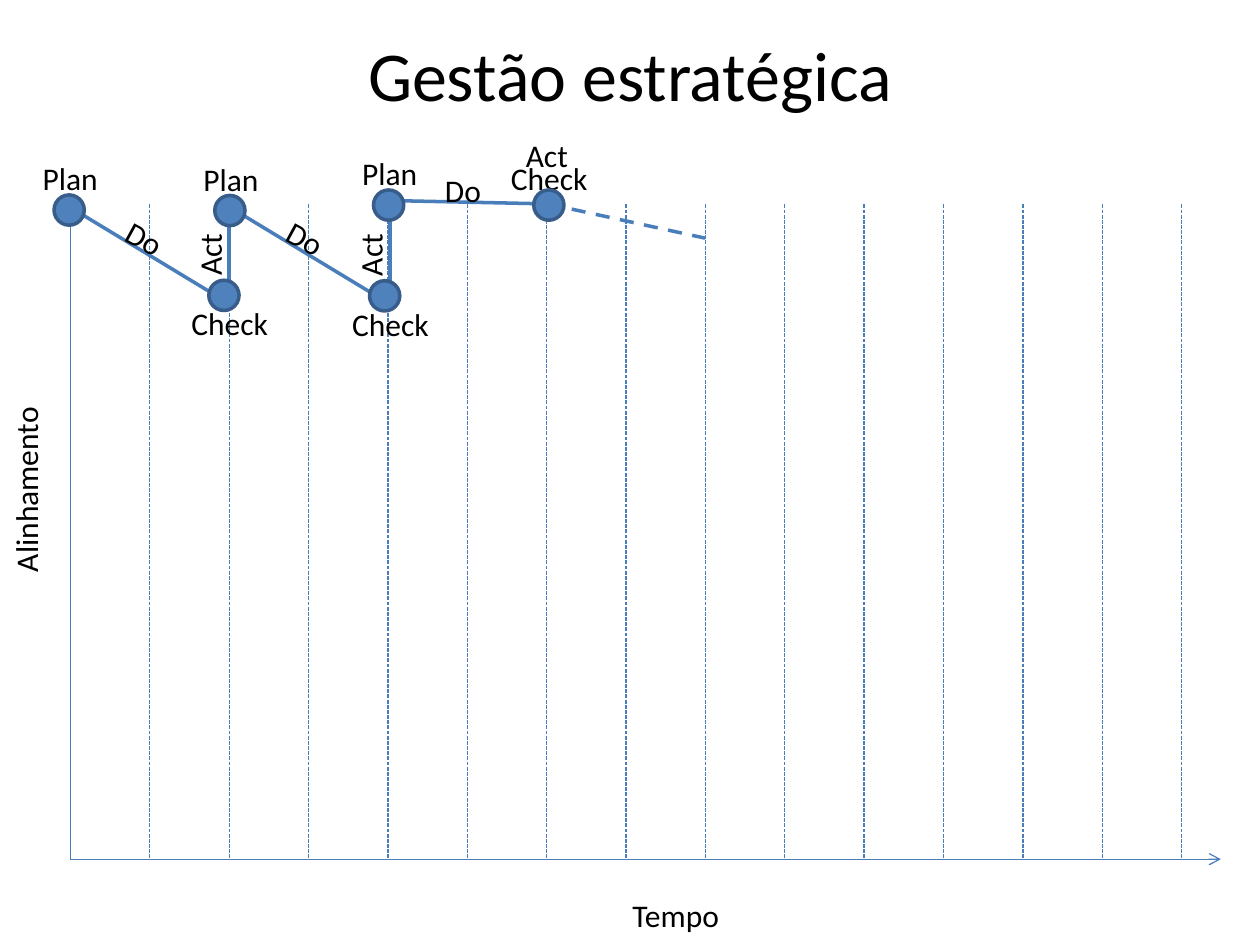
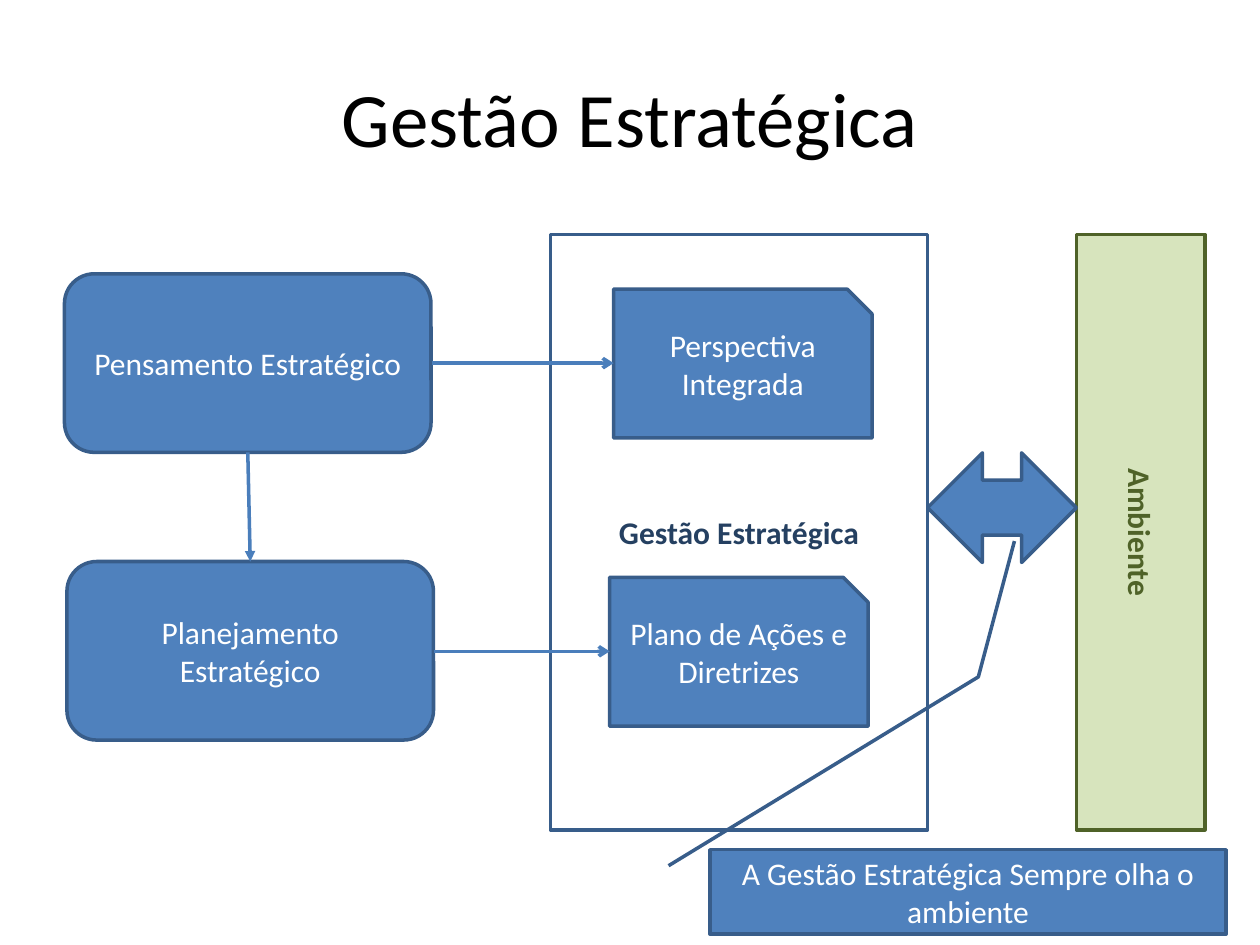
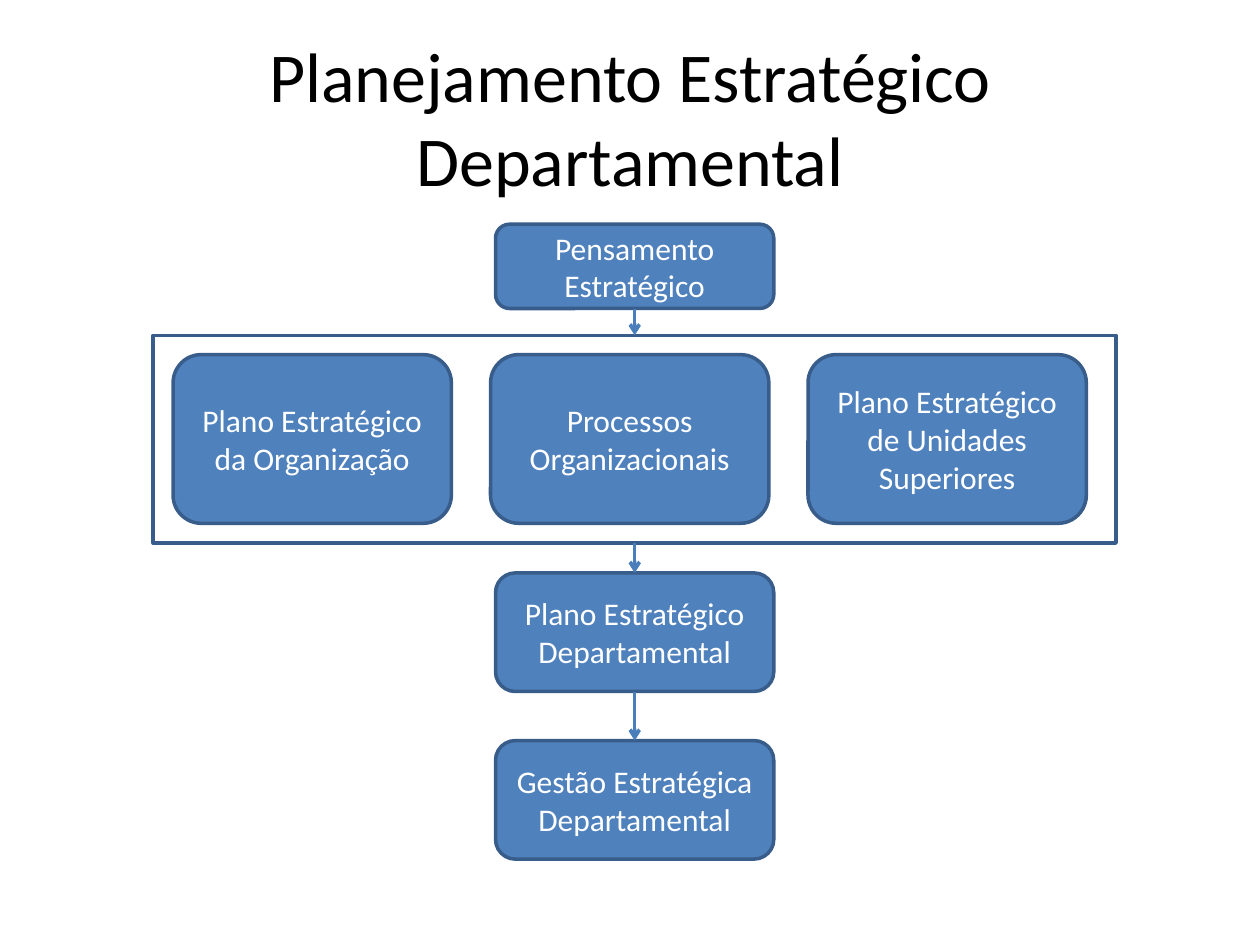
from dataclasses import dataclass

from lxml.etree import SubElement
from pptx import Presentation
from pptx.dml.color import RGBColor as RGB
from pptx.enum.dml import MSO_LINE as DASH
from pptx.enum.shapes import MSO_CONNECTOR as CONN, MSO_SHAPE as SHAPE
from pptx.enum.text import MSO_ANCHOR as ANCHOR, MSO_AUTO_SIZE as FIT, PP_ALIGN as ALIGN
from pptx.oxml.ns import qn
from pptx.util import Cm, Pt


@dataclass(frozen=True)
class Theme:
    """Colours, fonts and type sizes of the deck."""
    font: str = "Calibri"
    title: int = 40
    title_large: int = 44
    body: int = 18
    black: str = "000000"
    white: str = "FFFFFF"
    blue: str = "4F81BD"
    outline: str = "385D8A"
    line: str = "4A7EBB"
    navy: str = "254061"
    green: str = "D7E4BD"
    olive: str = "4F6228"
    thin: float = 0.75
    thick: float = 2


T = Theme()

CYCLE = {
    "lines": [(0.69, 1.04, 4.01, 3.05, None), (4.01, 3.05, 4.01, 1.14, None)],
    "labels": [("Check", 3, 2.94, 2.06, 0), ("Plan", 0, 0.02, 1.63, 0),
               ("Do", 1.69, 1.22, 1.25, 28.7), ("Act", 2.94, 1.55, 1.35, 270)],
    "dots": [(0.48, 0.86), (3.6, 2.58)],
}
LAST_CYCLE = {
    "lines": [(0.69, 1.07, 3.99, 1.14, None), (3.99, 1.14, 7.16, 1.83, DASH.DASH)],
    "labels": [("Check", 3, 0.12, 2.06, 0), ("Plan", 0, 0.02, 1.63, 0),
               ("Do", 1.67, 0.36, 1.25, 0), ("Act", 3.3, -0.36, 1.35, 0)],
    "dots": [(0.48, 0.86), (3.71, 0.86)],
}


def set_attrs(obj, **values):
    """Set every given format value on an object."""
    for name, value in values.items():
        setattr(obj, name, value)


def write(sp, text, size=T.body, color=T.black, bold=False, align=ALIGN.CENTER, **frame):
    """Write one formatted paragraph into a shape."""
    tf = sp.text_frame
    set_attrs(tf, **frame)
    p = tf.paragraphs[0]
    p.alignment = align
    r = p.add_run()
    r.text = text
    set_attrs(r.font, name=T.font, size=Pt(size), bold=bold)
    r.font.color.rgb = RGB.from_string(color)


def add_title(s, text, size=T.title, y=0.76, anchor=ANCHOR.MIDDLE):
    """Add the slide title."""
    sp = s.shapes.add_textbox(Cm(1.27), Cm(y), Cm(22.86), Cm(3.18))
    write(sp, text, size, word_wrap=True, vertical_anchor=anchor)


def add_label(s, text, x, y, w, rotation=0):
    """Add a one-line label, turned if asked."""
    sp = s.shapes.add_textbox(Cm(x), Cm(y), Cm(w), Cm(1.02))
    sp.rotation = rotation
    write(sp, text, align=ALIGN.LEFT, word_wrap=False, auto_size=FIT.SHAPE_TO_FIT_TEXT)


def style_box(sp, text="", fill=T.blue, line=T.outline, color=T.white, bold=False):
    """Fill and outline a shape and centre its text."""
    sp.shadow.inherit = False
    if fill:
        sp.fill.solid()
        sp.fill.fore_color.rgb = RGB.from_string(fill)
    else:
        sp.fill.background()
    sp.line.color.rgb = RGB.from_string(line)
    sp.line.width = Pt(T.thick)
    if text:
        write(sp, text, color=color, bold=bold, word_wrap=True,
              vertical_anchor=ANCHOR.MIDDLE)


def add_box(s, kind, x, y, w, h, text="", **style):
    """Add a styled preset shape."""
    sp = s.shapes.add_shape(kind, Cm(x), Cm(y), Cm(w), Cm(h))
    style_box(sp, text, **style)
    return sp


def add_document(s, x, y, text, w=5.21, h=3, cut=0.5):
    """Add a document with its top right corner cut."""
    fb = s.shapes.build_freeform(Cm(x), Cm(y))
    corners = ((x + w - cut, y), (x + w, y + cut), (x + w, y + h), (x, y + h))
    fb.add_line_segments([(Cm(cx), Cm(cy)) for cx, cy in corners])
    style_box(fb.convert_to_shape(), text)


def add_line(s, x1, y1, x2, y2, dash=None, head=None, width=T.thick):
    """Add a straight line with an optional dash and arrowhead."""
    c = s.shapes.add_connector(CONN.STRAIGHT, Cm(x1), Cm(y1), Cm(x2), Cm(y2))
    c.line.color.rgb = RGB.from_string(T.line)
    c.line.width = Pt(width)
    if dash:
        c.line.dash_style = dash
    if head:
        SubElement(c.line._get_or_add_ln(), qn("a:tailEnd"), type=head)
    SubElement(c._element.spPr, qn("a:effectLst"))


def draw_axes(s, x, y, w, h, step=1.6, count=14):
    """Draw the time and alignment axes with their grid."""
    bottom = y + h
    add_line(s, x, y, x, bottom, width=T.thin)
    add_line(s, x, bottom, x + w, bottom, head="arrow", width=T.thin)
    for i in range(1, count + 1):
        gx = x + i * step
        add_line(s, gx, y, gx, bottom, DASH.SQUARE_DOT, width=T.thin)
    add_label(s, "Tempo", x + 11.08, bottom + 0.61, 2.31)
    add_label(s, "Alinhamento", x - 2.82, y + 5.23, 3.84, 270)


def draw_cycle(s, x, y, cycle):
    """Draw one Plan-Do-Check-Act cycle."""
    for x1, y1, x2, y2, dash in cycle["lines"]:
        add_line(s, x + x1, y + y1, x + x2, y + y2, dash)
    for text, dx, dy, w, rotation in cycle["labels"]:
        add_label(s, text, x + dx, y + dy, w, rotation)
    for dx, dy in cycle["dots"]:
        add_box(s, SHAPE.OVAL, x + dx, y + dy, 0.61, 0.61)


def draw_thinking(s, x, y, w=7.39, h=3.6, step=5.8):
    """Draw strategic thinking leading to planning."""
    for i, text in enumerate(("Pensamento Estratégico", "Planejamento Estratégico")):
        add_box(s, SHAPE.ROUNDED_RECTANGLE, x + i * 0.05, y + i * step, w, h, text)
    add_line(s, x + w / 2, y + h, x + w / 2 + 0.05, y + step, head="triangle")


def draw_management(s, x, y, w, h):
    """Draw the management frame and its two documents."""
    add_document(s, x + 1.19, y + 6.91, "Plano de Ações e Diretrizes")
    add_document(s, x + 1.27, y + 1.1, "Perspectiva Integrada")
    add_box(s, SHAPE.RECTANGLE, x, y, w, h, "Gestão Estratégica",
            fill=None, color=T.navy, bold=True)


def draw_environment(s, x, y, h):
    """Draw the environment column, its double arrow and the callout."""
    sp = add_box(s, SHAPE.RECTANGLE, x, y, 2.59, h, "Ambiente",
                 fill=T.green, line=T.olive, color=T.olive, bold=True)
    sp.text_frame._txBody.bodyPr.set("vert", "vert")
    add_box(s, SHAPE.LEFT_RIGHT_ARROW, x - 3, y + 4.4, 3, 2.21)
    sp = add_box(s, SHAPE.LINE_CALLOUT_2, x - 7.39, y + 12.4, 10.41, 1.7,
                 "A Gestão Estratégica Sempre olha o ambiente")
    for i, value in enumerate((0.19, -0.08, -2.05, 0.52, -3.66, 0.59)):
        sp.adjustments[i] = value


def draw_inputs(s, x, y, w, h):
    """Draw the framed row of planning inputs."""
    texts = ("Plano Estratégico da Organização", "Processos Organizacionais",
             "Plano Estratégico de Unidades Superiores")
    for i, text in enumerate(texts):
        add_box(s, SHAPE.ROUNDED_RECTANGLE, x + 0.4 + i * 6.4, y + 0.39, 5.61, 3.4, text)
    add_box(s, SHAPE.RECTANGLE, x, y, w, h, fill=None)


def draw_departmental(s, x, y, w):
    """Draw the top-down departmental planning flow."""
    card_w, mid = 5.61, x + w / 2
    steps = [(0, 1.7, "Pensamento Estratégico"), (2.24, 4.19, None),
             (7.03, 2.39, "Plano Estratégico Departamental"),
             (10.41, 2.39, "Gestão Estratégica Departamental")]
    for dy, h, text in steps:
        if text:
            add_box(s, SHAPE.ROUNDED_RECTANGLE, mid - card_w / 2, y + dy, card_w, h, text)
        else:
            draw_inputs(s, x, y + dy, w, h)
    for (dy, h, _), (below, _, _) in zip(steps, steps[1:]):
        add_line(s, mid, y + dy + h, mid, y + below, head="arrow")


def cycles_slide(s):
    """Build the slide of alignment over time."""
    add_title(s, "Gestão estratégica", y=0.52, anchor=ANCHOR.TOP)
    draw_axes(s, 1.42, 4.12, 23.19, 13.2)
    for x, y, cycle in ((0.61, 3.07, CYCLE), (3.85, 3.08, CYCLE), (7.05, 2.97, LAST_CYCLE)):
        draw_cycle(s, x, y, cycle)


def management_slide(s):
    """Build the slide of management and its environment."""
    add_title(s, "Gestão Estratégica", T.title_large)
    draw_management(s, 11.1, 4.73, 7.6, 12)
    draw_environment(s, 21.7, 4.73, 12)
    draw_thinking(s, 1.3, 5.52)
    for x1, x2, y in ((8.71, 12.37, 7.32), (8.74, 12.29, 13.13)):
        add_line(s, x1, y, x2, y, head="arrow")


def departmental_slide(s):
    """Build the slide of departmental planning."""
    add_title(s, "Planejamento Estratégico Departamental")
    draw_departmental(s, 3.09, 4.52, 19.41)


def main():
    """Build and save the deck."""
    prs = Presentation()
    set_attrs(prs, slide_width=Cm(25.4), slide_height=Cm(19.05))
    for build in (cycles_slide, management_slide, departmental_slide):
        build(prs.slides.add_slide(prs.slide_layouts[6]))
    prs.save("out.pptx")


if __name__ == "__main__":
    main()
